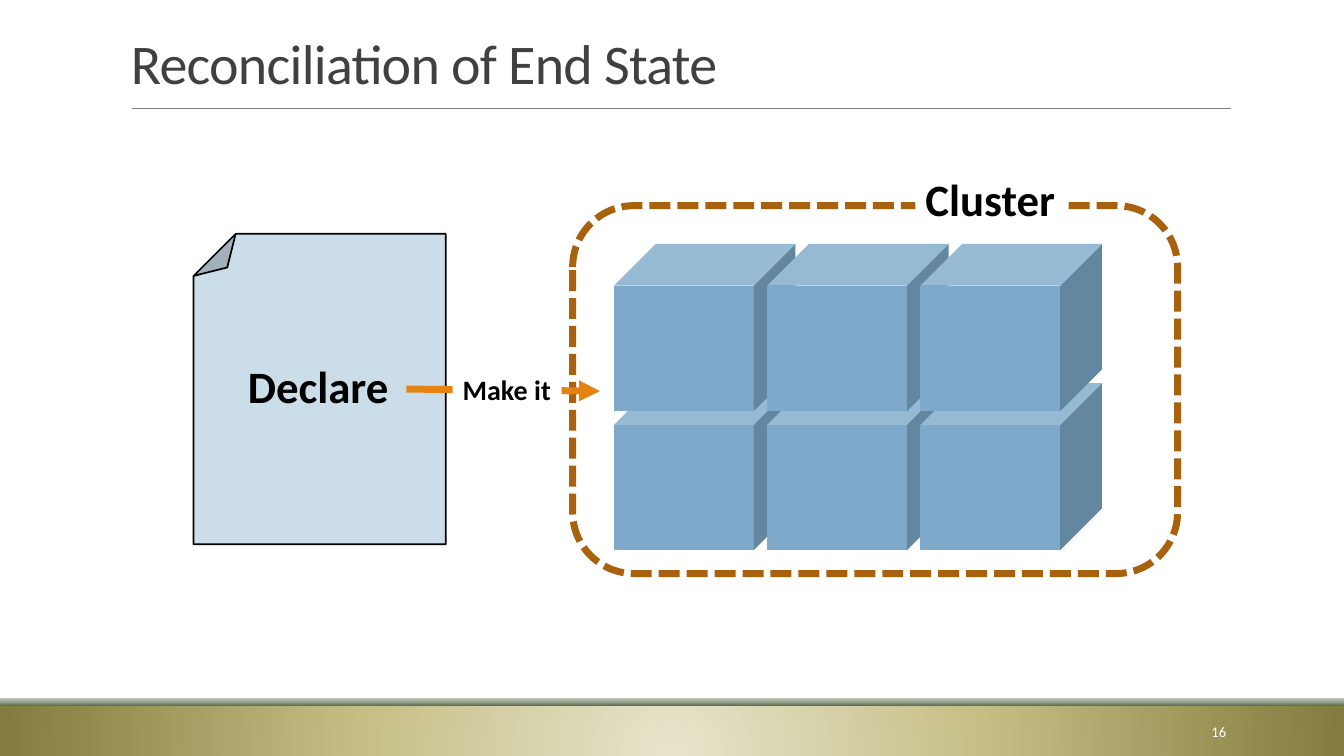
import pptx
import pptx.util
import pptx.oxml
import pptx.oxml.ns
import pptx.dml.color
import pptx.enum.dml
import pptx.enum.shapes
import pptx.enum.text
import lxml.etree

Inches = pptx.util.Inches
KIND = pptx.enum.shapes.MSO_SHAPE
ALIGN = pptx.enum.text.PP_ALIGN
ANCHOR = pptx.enum.text.MSO_ANCHOR
DASH = pptx.enum.dml.MSO_LINE.SQUARE_DOT
qn = pptx.oxml.ns.qn

INK = {
    "black": "000000", "white": "FFFFFF", "title": "404040", "rule": "808080",
    "page": "CCDDEA", "cube": "7EA9CA", "frame": "A9610D", "arrow": "E48312",
}
FLOOR = [(0, "E7E4CC"), (46, "C5BF86"), (100, "837C3F")]
LEDGE = [(0, "636E58"), (48, "97A38C"), (100, "BFC6B8")]


class Deck:
    font = "Calibri"

    def __init__(self):
        self.show = pptx.Presentation()
        self.show.slide_width = Inches(13.33)
        self.show.slide_height = Inches(7.5)
        self.slide = self.show.slides.add_slide(self.show.slide_layouts[6])

    def tint(self, name):
        return pptx.dml.color.RGBColor.from_string(INK[name])

    def shape(self, kind, box, fill=None, line=None, width=1, dash=None):
        item = self.slide.shapes.add_shape(kind, *map(Inches, box))
        item.shadow.inherit = False
        if fill:
            item.fill.solid()
            item.fill.fore_color.rgb = self.tint(fill)
        else:
            item.fill.background()
        if line:
            item.line.color.rgb = self.tint(line)
            item.line.width = pptx.util.Pt(width)
            item.line.dash_style = dash
        else:
            item.line.fill.background()
        return item

    def band(self, box, stops, round=False):
        item = self.shape(KIND.RECTANGLE, box)
        item.fill.gradient()
        grad = item._element.spPr.find(qn("a:gradFill"))
        for child in list(grad):
            grad.remove(child)
        row = lxml.etree.SubElement(grad, qn("a:gsLst"))
        for spot, tone in stops:
            stop = lxml.etree.SubElement(row, qn("a:gs"), pos=str(spot * 1000))
            lxml.etree.SubElement(stop, qn("a:srgbClr"), val=tone)
        if round:
            way = lxml.etree.SubElement(grad, qn("a:path"), path="circle")
            lxml.etree.SubElement(way, qn("a:fillToRect"),
                                  l="50000", t="130000", r="50000", b="-30000")
        else:
            lxml.etree.SubElement(grad, qn("a:lin"), ang="16200000", scaled="0")

    def line(self, start, end, tone, width, head=False):
        item = self.slide.shapes.add_connector(
            pptx.enum.shapes.MSO_CONNECTOR.STRAIGHT, *map(Inches, start + end))
        item.line.color.rgb = self.tint(tone)
        item.line.width = pptx.util.Pt(width)
        if head:
            lxml.etree.SubElement(item.line._get_or_add_ln(), qn("a:tailEnd"), type="triangle")
        lxml.etree.SubElement(item._element.spPr, qn("a:effectLst"))

    def text(self, words, box, size, tone="black", bold=False, align=ALIGN.LEFT,
             anchor=ANCHOR.TOP, wrap=False, fill=None, lead=None, track=None):
        if fill:
            item = self.shape(KIND.RECTANGLE, box, fill)
        else:
            item = self.slide.shapes.add_textbox(*map(Inches, box))
        frame = item.text_frame
        frame.text = words
        frame.word_wrap = wrap
        frame.vertical_anchor = anchor
        para = frame.paragraphs[0]
        para.alignment = align
        para.line_spacing = lead
        run = para.runs[0]
        run.font.name = self.font
        run.font.size = pptx.util.Pt(size)
        run.font.bold = bold
        run.font.color.rgb = self.tint(tone)
        if track:
            run.font._element.set("spc", str(track))


def main():
    deck = Deck()
    deck.band((0, 7, 13.33, 0.5), FLOOR, round=True)
    deck.band((0, 6.93, 13.33, 0.07), LEDGE)
    deck.line((1.31, 1.08), (12.21, 1.08), "rule", 0.5)
    deck.text("Reconciliation of End State", (1.2, 0.31, 11, 0.69), 40, "title",
              anchor=ANCHOR.BOTTOM, wrap=True, lead=0.85, track=-50)
    deck.text("16", (10.83, 7.06, 1.43, 0.4), 10.5, "white",
              align=ALIGN.RIGHT, anchor=ANCHOR.MIDDLE, wrap=True)

    page = deck.shape(KIND.FOLDED_CORNER, (1.92, 2.32, 2.5, 3.08), "page", "black", 1.25)
    page.rotation = 180
    deck.text("Declare", (2.36, 3.51, 1.61, 0.64), 32, bold=True)

    deck.shape(KIND.ROUNDED_RECTANGLE, (5.68, 2.04, 6, 3.65), None, "frame", 5, DASH)
    for top in (3.8, 2.42):
        for col in range(3):
            deck.shape(KIND.CUBE, (6.09 + 1.52 * col, top, 1.8, 1.66), "cube")
    deck.text("Cluster", (9.08, 1.65, 1.5, 0.64), 32, bold=True, fill="white")

    deck.line((4.03, 3.86), (5.95, 3.88), "arrow", 5, head=True)
    deck.text("Make it", (4.49, 3.65, 1.08, 0.44), 20, bold=True, fill="white")
    deck.show.save("out.pptx")


if __name__ == "__main__":
    main()
